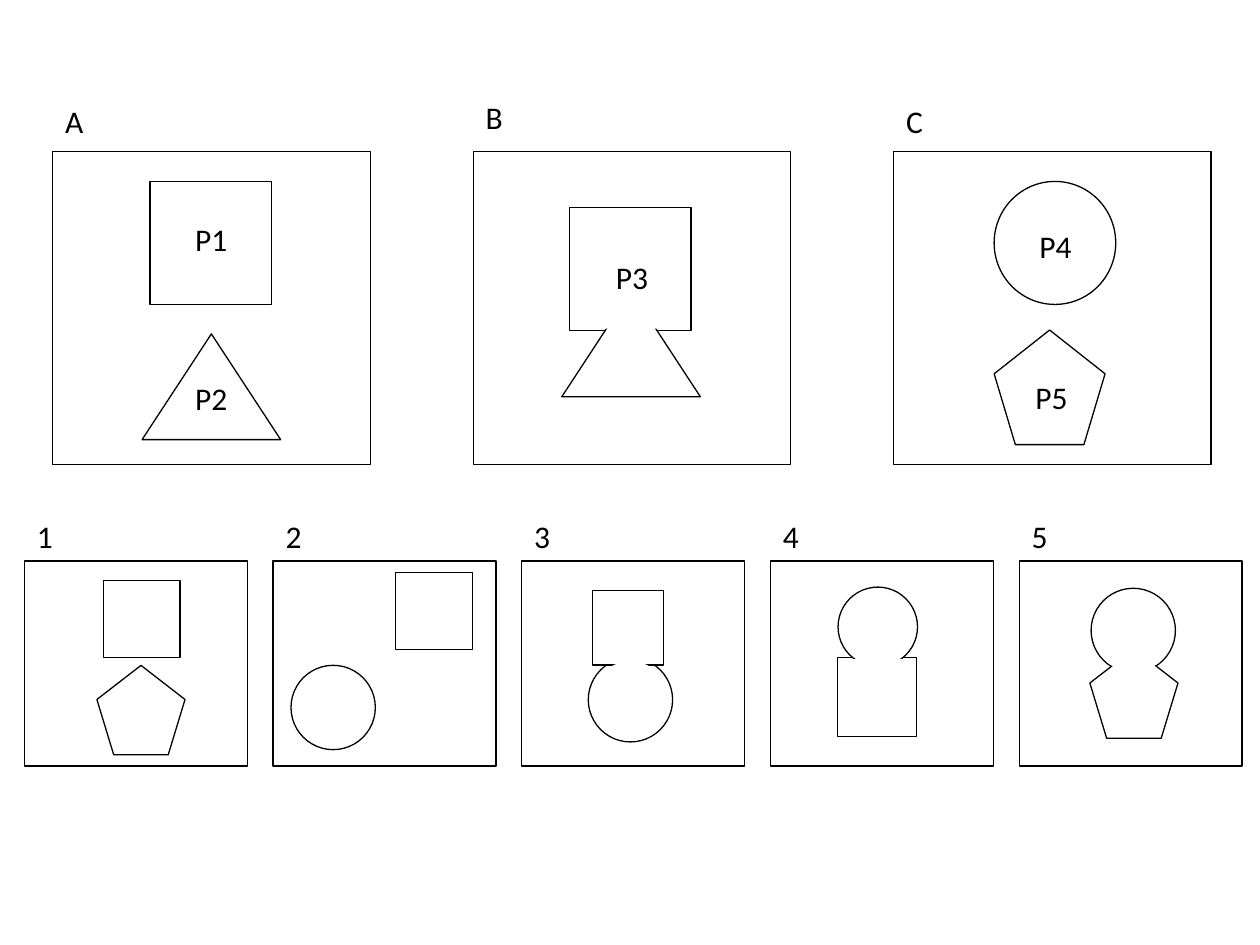
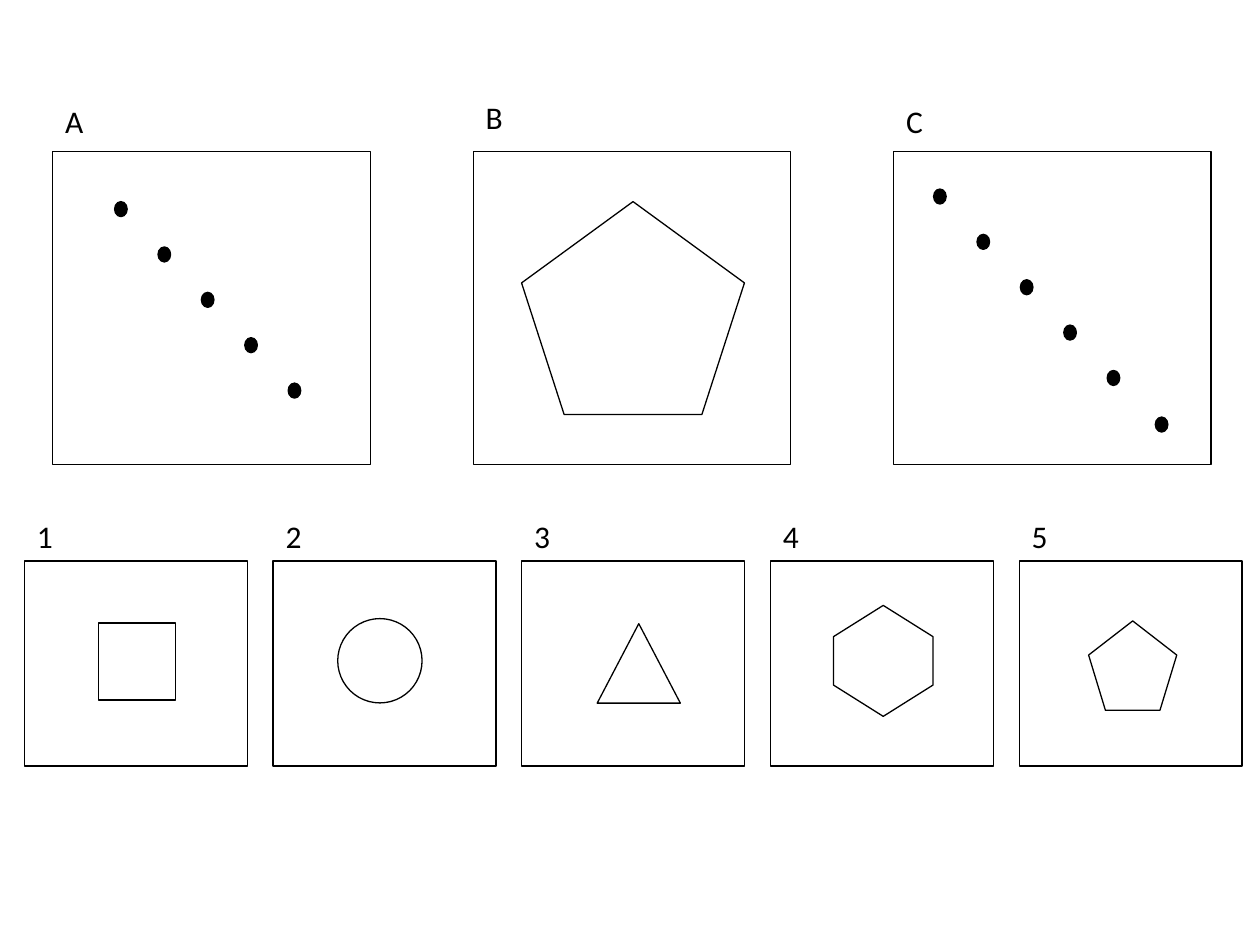
import pptx
import pptx.dml.color
import pptx.enum.shapes
import pptx.enum.text
import pptx.util

Pt = pptx.util.Pt
PRESETS = pptx.enum.shapes.MSO_SHAPE
BLACK, WHITE = "000000", "FFFFFF"
LINE_WIDTH = 0.75
TEXT_HEIGHT = 29
FONT = {"name": "Calibri", "size": Pt(18)}
FRAME = {"word_wrap": True, "auto_size": pptx.enum.text.MSO_AUTO_SIZE.SHAPE_TO_FIT_TEXT}

KINDS = {
    "square": PRESETS.RECTANGLE,
    "circle": PRESETS.OVAL,
    "triangle": PRESETS.ISOSCELES_TRIANGLE,
    "pentagon": PRESETS.REGULAR_PENTAGON,
    "hexagon": PRESETS.HEXAGON,
}

# Rows of panels: first left, pitch, top, width, height, and how far each label sits above
ROWS = [
    {"left": 30.2, "pitch": 240.25, "top": 86.4, "size": (181.4, 179.2),
     "labels": [("A", 31.7), ("B", 33.8), ("C", 31.7)]},
    {"left": 14, "pitch": 142.1, "top": 320.6, "size": (127.4, 117.2),
     "labels": [(number, 29) for number in "12345"]},
]

DOT_SIZE = (7.2, 8.6)
DOT_STEP = (24.8, 25.92)


def dot_line(left, top, count):
    return [("circle", left + i * DOT_STEP[0], top + i * DOT_STEP[1], *DOT_SIZE, BLACK, BLACK)
            for i in range(count)]


# Figures of each panel: kind, left, top, width, height[, fill, line], measured from the
# panel's corner. A figure with no line (None) hides the seam of two merged outlines.
MERGING = {
    "A": [("square", 55.5, 17.3, 69.5, 70.3), ("triangle", 51, 104.4, 79.2, 60.4)],
    "B": [("square", 54.9, 32.4, 69.5, 70.3), ("triangle", 50.6, 79.9, 79.2, 60.4),
          ("square", 56.2, 33.8, 67, 67.7, WHITE, None)],
    "C": [("circle", 57.4, 17.3, 69.5, 70.3), ("pentagon", 57.4, 102.2, 63.4, 65.5)],
    "1": [("pentagon", 41.4, 59.6, 50.4, 51.1), ("square", 45, 11.3, 44, 44)],
    "2": [("circle", 10.2, 59.6, 48.2, 48.2), ("square", 70, 6.6, 44, 44)],
    "3": [("circle", 38, 55.2, 48.2, 48.2), ("square", 40.2, 17, 41, 42.5),
          ("circle", 39.4, 57.4, 45.4, 45.4, WHITE, None)],
    "4": [("square", 38.4, 55.2, 45, 45.2), ("circle", 38.6, 14.9, 45.4, 45.4),
          ("square", 39.8, 56.4, 42.3, 42.5, WHITE, WHITE)],
    "5": [("circle", 41.1, 15.6, 48.2, 48.2), ("pentagon", 40.4, 50.2, 50.4, 51.1),
          ("circle", 42.5, 18, 45.4, 45.4, WHITE, None)],
}

COUNTING = {
    "A": dot_line(35.3, 28.8, 5),
    "B": [("pentagon", 27.6, 28.8, 127.4, 121.7)],
    "C": dot_line(22.8, 21.6, 5) + [("circle", 149.5, 151.9, *DOT_SIZE, BLACK, BLACK)],
    "1": [("square", 42.2, 35.5, 44, 44)],
    "2": [("circle", 36.9, 32.9, 48.2, 48.2)],
    "3": [("triangle", 43.1, 35.8, 47.5, 45.4)],
    "4": [("hexagon", 32.7, 28.6, 63.4, 56.9)],
    "5": [("pentagon", 39.7, 34.2, 50.4, 51.1)],
}

# Names of parts: text, left, top, width
PART_NAMES = {
    "A": [("P1", 74.2, 36, 43.2), ("P2", 74.2, 126.7, 43.2)],
    "B": [("P3", 74.4, 57.6, 43.2)],
    "C": [("P4", 76.1, 39.6, 55.4), ("P5", 73.9, 126, 55.4)],
}

SLIDES = [(MERGING, PART_NAMES), (COUNTING, {})]


def color(hex_string):
    return pptx.dml.color.RGBColor.from_string(hex_string)


def set_attributes(target, values):
    for name, value in values.items():
        setattr(target, name, value)


def add_figure(slide, kind, left, top, width, height, fill=WHITE, line=BLACK):
    shape = slide.shapes.add_shape(KINDS[kind], Pt(left), Pt(top), Pt(width), Pt(height))
    shape.shadow.inherit = False
    shape.fill.solid()
    shape.fill.fore_color.rgb = color(fill)
    if line:
        shape.line.color.rgb = color(line)
        shape.line.width = Pt(LINE_WIDTH)
    else:
        shape.line.fill.background()
    if kind == "hexagon":
        shape.rotation = 90
        shape.adjustments[0] = 0.314


def add_text(slide, text, left, top, width):
    box = slide.shapes.add_textbox(Pt(left), Pt(top), Pt(width), Pt(TEXT_HEIGHT))
    set_attributes(box.text_frame, FRAME)
    run = box.text_frame.paragraphs[0].add_run()
    run.text = text
    set_attributes(run.font, FONT)
    run.font.color.rgb = color(BLACK)


def add_puzzle(slide, figures, part_names):
    for row in ROWS:
        top = row["top"]
        for column, (label, rise) in enumerate(row["labels"]):
            left = row["left"] + column * row["pitch"]
            add_text(slide, label, left, top - rise, 28)
            add_figure(slide, "square", left, top, *row["size"])
            for kind, x, y, *rest in figures[label]:
                add_figure(slide, kind, left + x, top + y, *rest)
            for text, x, y, width in part_names.get(label, []):
                add_text(slide, text, left + x, top + y, width)


def main():
    presentation = pptx.Presentation()
    set_attributes(presentation, {"slide_width": Pt(720), "slide_height": Pt(540)})
    for figures, part_names in SLIDES:
        slide = presentation.slides.add_slide(presentation.slide_layouts[6])
        add_puzzle(slide, figures, part_names)
    presentation.save("out.pptx")


if __name__ == "__main__":
    main()
